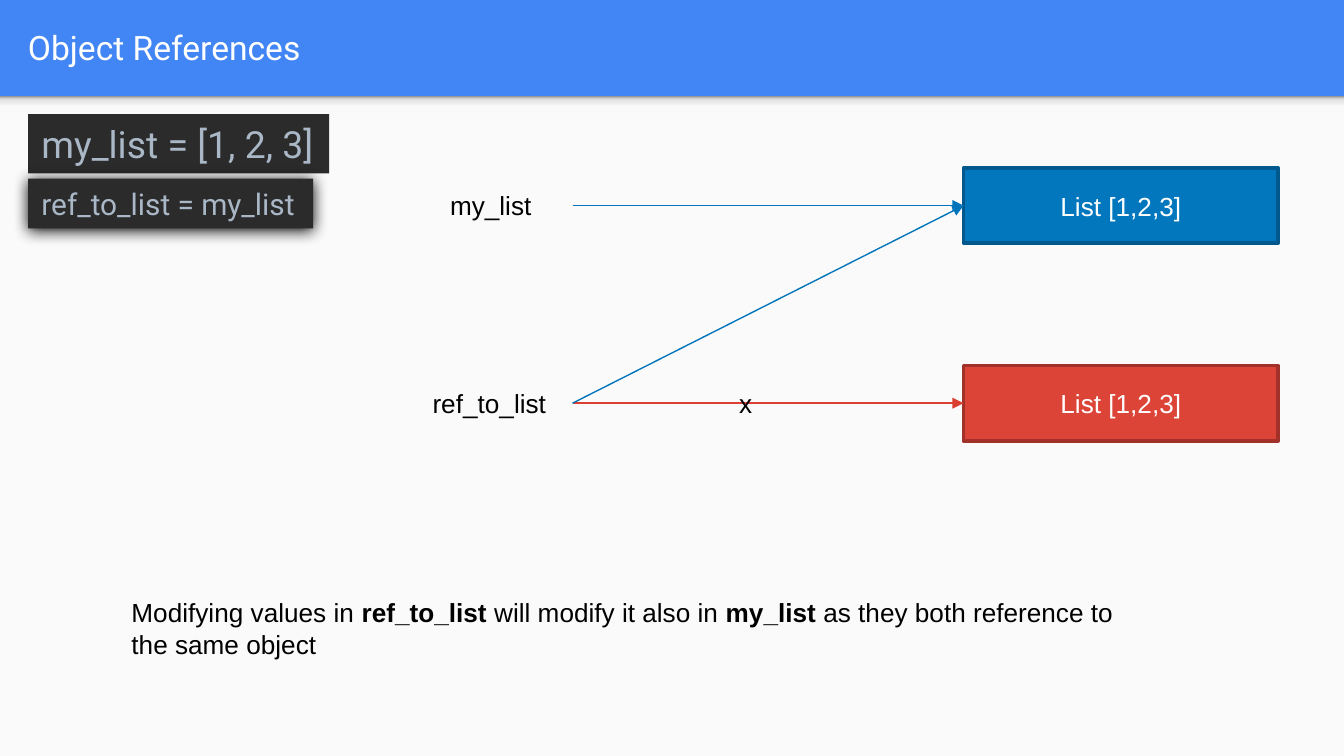
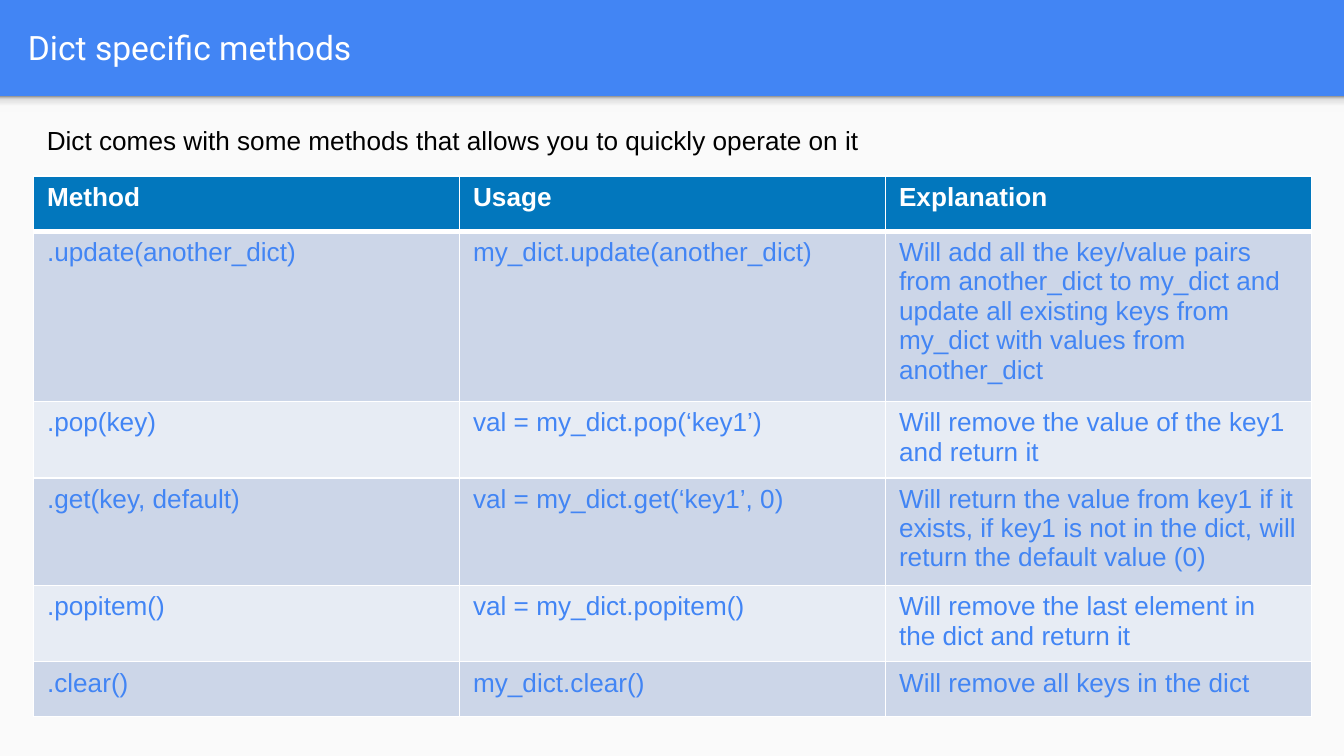
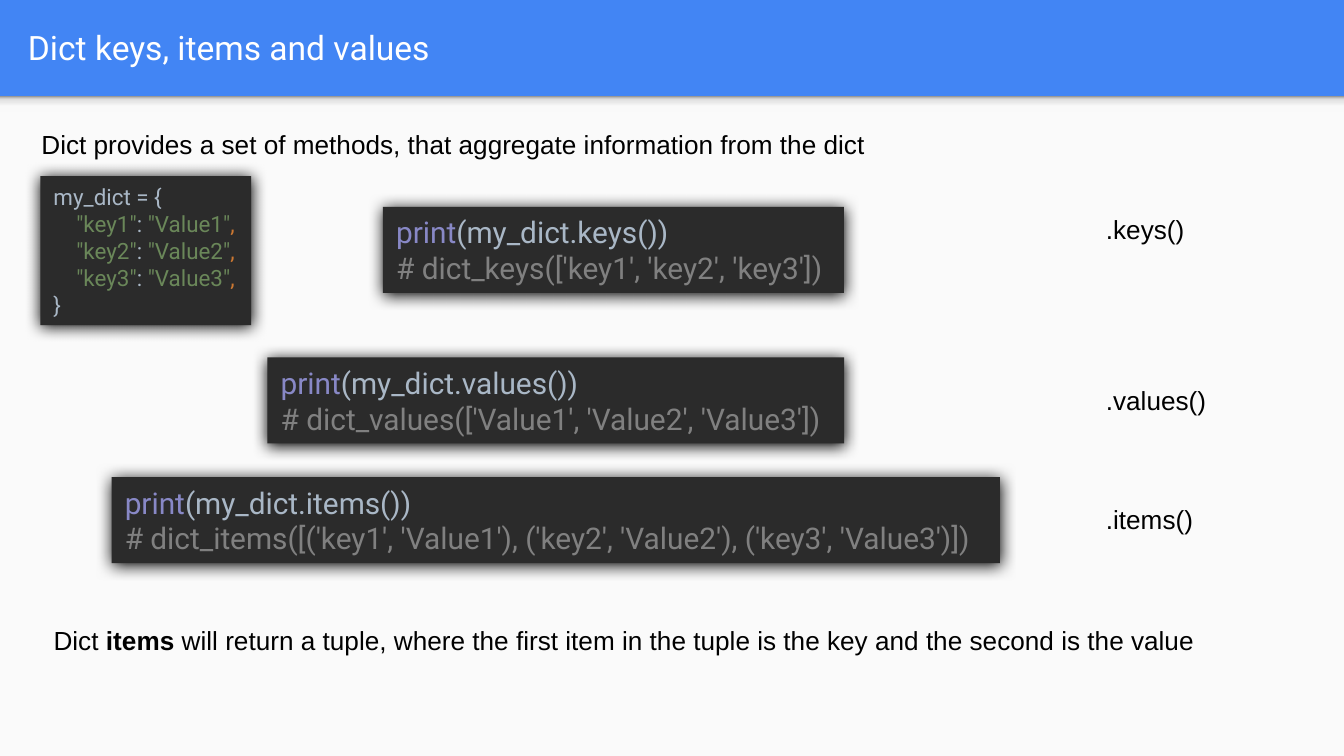
from lxml import etree
from pptx import Presentation
from pptx.dml.color import RGBColor
from pptx.enum.shapes import MSO_CONNECTOR, MSO_SHAPE
from pptx.enum.text import MSO_ANCHOR, MSO_AUTO_SIZE, PP_ALIGN
from pptx.oxml import parse_xml
from pptx.oxml.ns import nsdecls, qn
from pptx.util import Inches, Pt

RECTANGLE = MSO_SHAPE.RECTANGLE
STRAIGHT = MSO_CONNECTOR.STRAIGHT
TOP, MIDDLE = MSO_ANCHOR.TOP, MSO_ANCHOR.MIDDLE
LEFT, CENTER = PP_ALIGN.LEFT, PP_ALIGN.CENTER
GROW = MSO_AUTO_SIZE.SHAPE_TO_FIT_TEXT

# Shared look
WIDTH = 10
HEIGHT = WIDTH * 9 / 16
PAPER_HEIGHT = 4.91
BAND_HEIGHT = HEIGHT - PAPER_HEIGHT
BODY_FONT, CODE_FONT, BODY_SIZE = "Arial", "Roboto", 14
BLUE, PAPER, WHITE, BLACK = "4285F4", "FAFAFA", "FFFFFF", "000000"
DEEP_BLUE, CODE_BACK = "0277BD", "2B2B2B"
PLAIN, STRING, COMMA = "A9B7C6", "6A8759", "CC7832"
BUILTIN, COMMENT = "8888C6", "808080"
BAND_SHADOW = [(0, "F9F9F9"), (36, "F9F9F9"), (80, "DEDEDE"), (100, "999999")]

# Object references: label, label left, label width, row centre, fill, outline
LIST_TEXT = "List [1,2,3]"
REFERENCES = [
    ("my_list", 3.25, 1.01, 1.53, DEEP_BLUE, "01588C"),
    ("ref_to_list", 3.12, 1.15, 3, "DB4437", "A23229"),
]
ARROW_LEFT, ARROW_RIGHT = 4.26, 7.17
ARROWS = [(3, 3, "DA3F32"), (3, 1.53, "0075BB"), (1.53, 1.53, "0075BB")]
REFERENCE_NOTE = [
    ("Modifying values in ", False), ("ref_to_list ", True),
    ("will modify it also in ", False), ("my_list ", True),
    ("as they both reference to the same object", False),
]

# Dict methods
METHODS_INTRO = "Dict comes with some methods that allows you to quickly operate on it"
METHODS = [
    ("Method", "Usage", "Explanation"),
    (".update(another_dict)", "my_dict.update(another_dict)",
     "Will add all the key/value pairs from another_dict to my_dict and "
     "update all existing keys from my_dict with values from another_dict"),
    (".pop(key)", "val = my_dict.pop(‘key1’)",
     "Will remove the value of the key1 and return it"),
    (".get(key, default)", "val = my_dict.get(‘key1’, 0)",
     "Will return the value from key1 if it exists, if key1 is not in the "
     "dict, will return the default value (0)"),
    (".popitem()", "val = my_dict.popitem()",
     "Will remove the last element in the dict and return it"),
    (".clear()", "my_dict.clear()", "Will remove all keys in the dict"),
]
ROW_FILLS = ["E7ECF4", "CCD6E8"]

# Dict views: method, result, code place, label top, label width
VIEWS_INTRO = "Dict provides a set of methods, that aggregate information from the dict"
VIEWS = [
    ("keys", "['key1', 'key2', 'key3']", (2.85, 1.54, 3.43, 0.64), 1.54, 0.98),
    ("values", "['Value1', 'Value2', 'Value3']", (1.99, 2.66, 4.29, 0.64), 2.81, 1.06),
    ("items", "[('key1', 'Value1'), ('key2', 'Value2'), ('key3', 'Value3')]",
     (0.83, 3.55, 6.61, 0.64), 3.7, 0.95),
]
VIEWS_NOTE = [
    ("Dict ", False), ("items", True),
    (" will return a tuple, where the first item in the tuple is the key "
     "and the second is the value", False),
]


def color(value):
    """Turn a hex string into a colour."""
    return RGBColor.from_string(value)


def place(left, top, width, height):
    """Turn a place in inches into lengths."""
    return [Inches(length) for length in (left, top, width, height)]


def add_run(paragraph, text, size, font, fill, bold=False):
    """Add one styled run."""
    run = paragraph.add_run()
    run.text = text
    run.font.size = Pt(size)
    run.font.name = font
    run.font.bold = bold
    run.font.color.rgb = color(fill)


def add_box(slide, at, fill, outline=None):
    """Add a flat rectangle, outlined if an outline colour is given."""
    shape = slide.shapes.add_shape(RECTANGLE, *place(*at))
    shape.shadow.inherit = False
    shape.fill.solid()
    shape.fill.fore_color.rgb = color(fill)
    if outline:
        shape.line.color.rgb = color(outline)
        shape.line.width = Pt(2)
    else:
        shape.line.fill.background()
    return shape


def add_text(slide, at, parts):
    """Add a body text box from (text, bold) parts."""
    frame = slide.shapes.add_textbox(*place(*at)).text_frame
    frame.word_wrap = True
    frame.auto_size = GROW
    for text, bold in parts:
        add_run(frame.paragraphs[0], text, BODY_SIZE, BODY_FONT, BLACK, bold)
    return frame


def add_code(slide, at, size, lines, shadow=True):
    """Add a dark code box from (indent, [(text, colour)]) lines."""
    shape = add_box(slide, at, CODE_BACK)
    if shadow:
        effects = shape._element.spPr.find(qn("a:effectLst"))
        effects.append(parse_xml(
            f'<a:outerShdw {nsdecls("a")} blurRad="{Pt(8.5)}" dist="{Pt(1)}" '
            f'dir="5400000" algn="t" rotWithShape="0"><a:srgbClr val="{BLACK}"/>'
            '</a:outerShdw>'))
    frame = shape.text_frame
    frame.word_wrap = False
    frame.auto_size = GROW
    frame.vertical_anchor = MIDDLE
    for number, (indent, parts) in enumerate(lines):
        paragraph = frame.add_paragraph() if number else frame.paragraphs[0]
        paragraph.alignment = LEFT
        if indent:
            properties = paragraph._p.get_or_add_pPr()
            properties.set("marL", str(Inches(indent)))
            properties.set("indent", "0")
        for text, fill in parts:
            add_run(paragraph, text, size, CODE_FONT, fill)


def add_arrow(slide, start_y, end_y, line_color):
    """Add an arrow from the name column to the list column."""
    arrow = slide.shapes.add_connector(
        STRAIGHT, Inches(ARROW_LEFT), Inches(start_y),
        Inches(ARROW_RIGHT), Inches(end_y))
    arrow.line.color.rgb = color(line_color)
    arrow.line.width = Pt(0.75)
    etree.SubElement(arrow.line._get_or_add_ln(), qn("a:tailEnd"), type="triangle")
    etree.SubElement(arrow._element.spPr, qn("a:effectLst"))


def set_borders(cell, bottom):
    """Give a cell white borders, with its own width at the bottom."""
    properties = cell._tc.get_or_add_tcPr()
    widths = [("lnL", 1), ("lnR", 1), ("lnT", 1), ("lnB", bottom)]
    for position, (side, width) in enumerate(widths):
        properties.insert(position, parse_xml(
            f'<a:{side} {nsdecls("a")} w="{Pt(width)}"><a:solidFill>'
            f'<a:srgbClr val="{WHITE}"/></a:solidFill></a:{side}>'))


def add_slide(presentation, title):
    """Add a slide with the blue title band, its soft edge and the title."""
    slide = presentation.slides.add_slide(presentation.slide_layouts[6])
    slide.background.fill.solid()
    slide.background.fill.fore_color.rgb = color(BLUE)
    add_box(slide, (0, BAND_HEIGHT, WIDTH, PAPER_HEIGHT), PAPER)
    edge = add_box(slide, (0, BAND_HEIGHT, WIDTH, 0.12), PAPER)
    stops = "".join(
        f'<a:gs pos="{position * 1000}"><a:srgbClr val="{value}"/></a:gs>'
        for position, value in BAND_SHADOW)
    properties = edge._element.spPr
    properties.replace(properties.find(qn("a:solidFill")), parse_xml(
        f'<a:gradFill {nsdecls("a")} rotWithShape="1"><a:gsLst>{stops}</a:gsLst>'
        '<a:lin ang="16200000" scaled="0"/></a:gradFill>'))
    frame = slide.shapes.add_textbox(*place(0.11, 0.02, 9.65, 0.66)).text_frame
    frame.word_wrap = True
    frame.vertical_anchor = MIDDLE
    frame.margin_top = frame.margin_bottom = Inches(0.1)
    add_run(frame.paragraphs[0], title, 18, CODE_FONT, WHITE)
    return slide


def build_references(presentation):
    """Build the slide with two names that point at one list."""
    slide = add_slide(presentation, "Object References")
    for label, left, width, middle, fill, outline in REFERENCES:
        box = add_box(slide, (ARROW_RIGHT, middle - 0.28, 2.34, 0.56), fill, outline)
        box.text_frame.vertical_anchor = MIDDLE
        paragraph = box.text_frame.paragraphs[0]
        paragraph.alignment = CENTER
        add_run(paragraph, LIST_TEXT, BODY_SIZE, BODY_FONT, WHITE)
        add_text(slide, (left, middle - 0.17, width, 0.34), [(label, False)])
    add_code(slide, (0.21, 0.85, 2.24, 0.44), 20,
             [(0, [("my_list = [1, 2, 3]", PLAIN)])], shadow=False)
    add_code(slide, (0.21, 1.33, 2.12, 0.37), 16,
             [(0, [("ref_to_list = my_list", PLAIN)])])
    add_text(slide, (0.88, 4.39, 7.73, 0.57), REFERENCE_NOTE)
    for arrow in ARROWS:
        add_arrow(slide, *arrow)
    cross = add_text(slide, (5.5, 2.83, 0.09, 0.34), [("x", False)])
    cross.word_wrap = False
    cross.margin_left = cross.margin_right = 0
    cross.paragraphs[0].alignment = CENTER


def build_methods(presentation):
    """Build the slide with the table of dict methods."""
    slide = add_slide(presentation, "Dict specific methods")
    add_text(slide, (0.25, 0.88, 8.97, 0.34), [(METHODS_INTRO, False)])
    graphic = slide.shapes.add_table(
        len(METHODS), len(METHODS[0]), *place(0.25, 1.31, 9.51, 4.01))
    for row_number, texts in enumerate(METHODS):
        header = row_number == 0
        graphic.table.rows[row_number].height = Inches(0.41)
        for column_number, text in enumerate(texts):
            cell = graphic.table.cell(row_number, column_number)
            cell.vertical_anchor = TOP
            cell.fill.solid()
            cell.fill.fore_color.rgb = color(
                DEEP_BLUE if header else ROW_FILLS[row_number % 2])
            set_borders(cell, 3 if header else 1)
            add_run(cell.text_frame.paragraphs[0], text, BODY_SIZE, BODY_FONT,
                    WHITE if header else BLUE, header)
    graphic.height = Inches(4.01)


def build_views(presentation):
    """Build the slide with the keys, values and items of a dict."""
    slide = add_slide(presentation, "Dict keys, items and values")
    add_text(slide, (0.21, 0.91, 9.24, 0.34), [(VIEWS_INTRO, False)])
    entries = [
        (0.17, [(f'"key{number}"', STRING), (": ", PLAIN),
                (f'"Value{number}"', STRING), (",", COMMA)])
        for number in (1, 2, 3)]
    add_code(slide, (0.3, 1.31, 1.57, 1.11), 12,
             [(0, [("my_dict = {", PLAIN)]), *entries, (0, [("}", PLAIN)])])
    for method, result, at, label_top, label_width in VIEWS:
        add_code(slide, at, 16, [
            (0, [("print", BUILTIN), (f"(my_dict.{method}())", PLAIN)]),
            (0, [(f"# dict_{method}({result})", COMMENT)])])
        add_text(slide, (8.13, label_top, label_width, 0.34),
                 [(f".{method}()", False)])
    add_text(slide, (0.3, 4.6, 8.81, 0.34), VIEWS_NOTE)


def main():
    """Build and save the presentation."""
    presentation = Presentation()
    presentation.slide_width = Inches(WIDTH)
    presentation.slide_height = Inches(HEIGHT)
    build_references(presentation)
    build_methods(presentation)
    build_views(presentation)
    presentation.save("out.pptx")


main()
